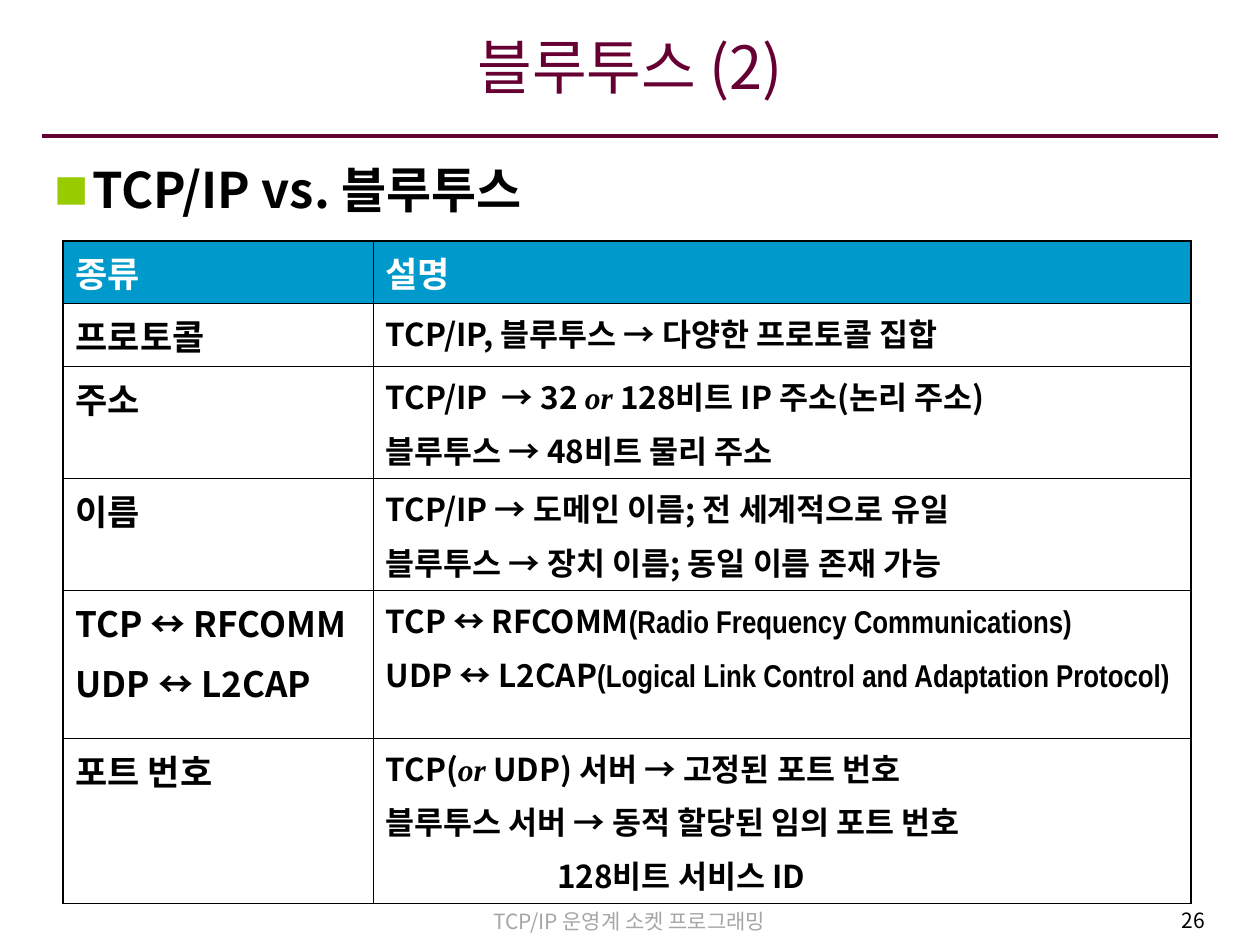
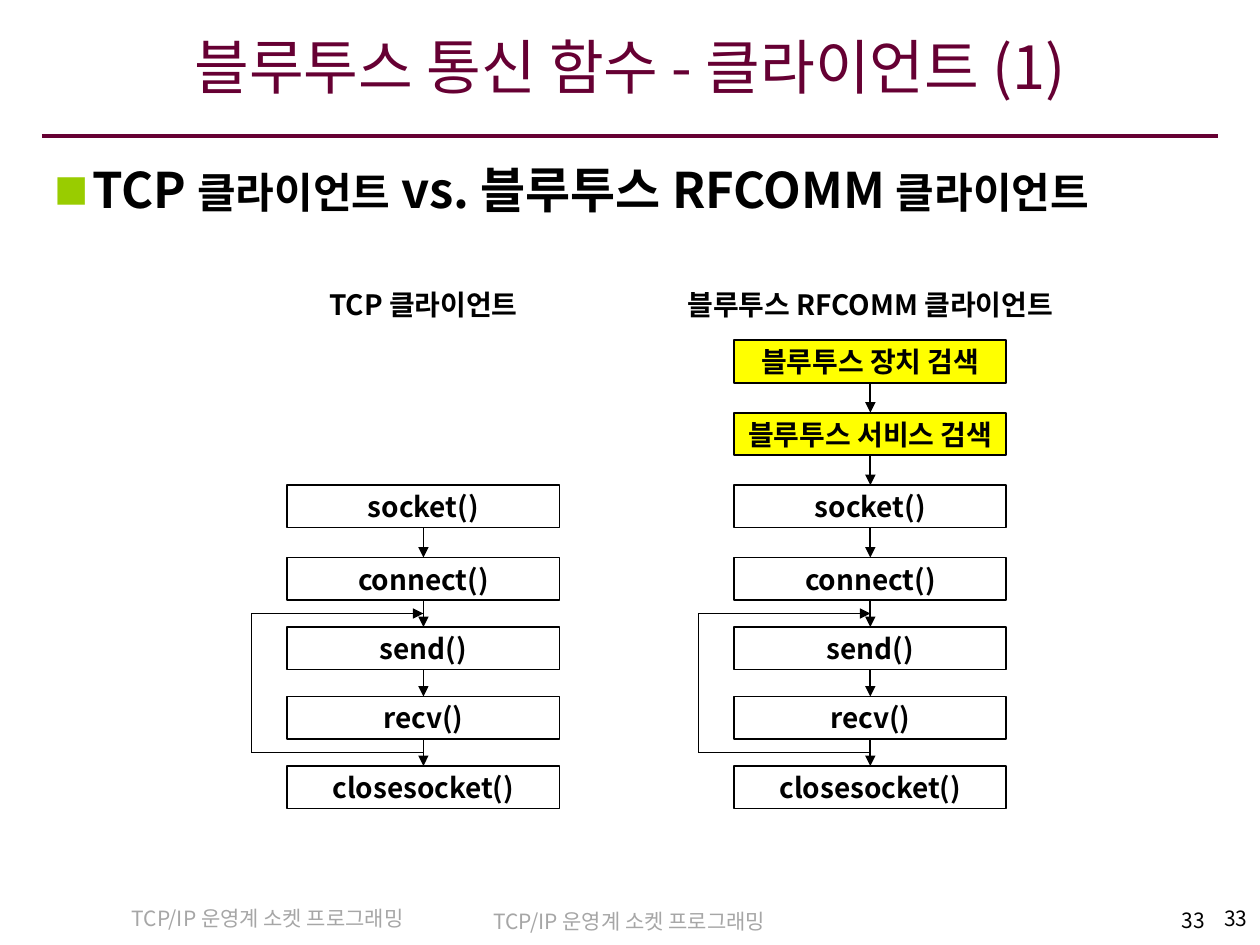
from lxml.etree import SubElement
from pptx import Presentation
from pptx.dml.color import RGBColor
from pptx.enum.shapes import MSO_CONNECTOR, MSO_SHAPE
from pptx.enum.text import MSO_ANCHOR, MSO_AUTO_SIZE, PP_ALIGN
from pptx.oxml import parse_xml
from pptx.oxml.ns import nsdecls, qn
from pptx.util import Pt

FONT = "Noto Sans CJK KR"
BLACK, WHITE, GREY = "000000", "FFFFFF", "A6A6A6"
PLUM, LIME, BLUE, YELLOW = "660033", "99CC00", "0099CC", "FFFF00"
FOOTER = "TCP/IP 운영계 소켓 프로그래밍"
NODE_W, NODE_H = 155.5, 24.3
OR = ("or", {"name": "Times New Roman", "italic": True})


def narrow(text):
    """Return a run set in the narrow font."""
    return text, {"name": "Arial Narrow"}


TABLE_ROWS = [
    (36, ["종류"], [["설명"]]),
    (36, ["프로토콜"], [["TCP/IP, 블루투스 → 다양한 프로토콜 집합"]]),
    (64, ["주소"], [["TCP/IP  → 32 ", OR, " 128비트 IP 주소(논리 주소)"],
                  ["블루투스 → 48비트 물리 주소"]]),
    (64, ["이름"], [["TCP/IP → 도메인 이름; 전 세계적으로 유일"],
                  ["블루투스 → 장치 이름; 동일 이름 존재 가능"]]),
    (84.5, ["TCP ↔ RFCOMM", "UDP ↔ L2CAP"],
     [["TCP ↔ RFCOMM", narrow("(Radio Frequency Communications)")],
      ["UDP ↔ L2CAP", narrow("(Logical Link Control and Adaptation Protocol)")]]),
    (94.3, ["포트 번호"], [["TCP(", OR, " UDP) 서버 → 고정된 포트 번호"],
                       ["블루투스 서버 → 동적 할당된 임의 포트 번호"],
                       ["128비트 서비스 ID"]]),
]
SOCKET_CALLS = ["socket()", "connect()", "send()", "recv()", "closesocket()"]
SEARCHES = ["블루투스 장치 검색", "블루투스 서비스 검색"]


def rgb(color):
    """Turn a hex string into a colour."""
    return RGBColor.from_string(color)


def write(p, runs, size, color=BLACK, bold=False, align=PP_ALIGN.LEFT, before=0):
    """Fill a paragraph with runs, each a string or a (text, font changes) pair."""
    p.alignment, p.space_before = align, Pt(before)
    f = p.font
    f.size, f.bold, f.name = Pt(size), bold, FONT
    f.color.rgb = rgb(color)
    SubElement(p._p.pPr.find(qn("a:defRPr")), qn("a:ea"), typeface=FONT)
    for run in runs:
        text, changes = (run, {}) if isinstance(run, str) else run
        r = p.add_run()
        r.text = text
        for key, value in changes.items():
            setattr(r.font, key, value)


def text_box(s, box, runs, size, **style):
    """Add a wrapping text box and return its paragraph."""
    tf = s.shapes.add_textbox(*map(Pt, box)).text_frame
    tf.word_wrap = True
    p = tf.paragraphs[0]
    write(p, runs, size, **style)
    return p


def line(s, x1, y1, x2, y2, color=BLACK, width=1, arrow=False):
    """Add a straight line, with an arrowhead at its end if asked."""
    c = s.shapes.add_connector(MSO_CONNECTOR.STRAIGHT, *map(Pt, (x1, y1, x2, y2)))
    c.line.color.rgb, c.line.width = rgb(color), Pt(width)
    if arrow:
        SubElement(c.line._get_or_add_ln(), qn("a:tailEnd"), type="triangle")
    SubElement(c._element.spPr, qn("a:effectLst"))
    return c


def footer(s, number, footer_box, number_box):
    """Add the footer text and the page number."""
    text_box(s, footer_box, [FOOTER], 12, color=GREY, align=PP_ALIGN.CENTER)
    text_box(s, number_box, [number], 12, align=PP_ALIGN.RIGHT)


def heading(s, box, runs):
    """Add the bold heading with its square bullet."""
    p = text_box(s, box, runs, 28, bold=True, before=6)
    pPr = p._p.pPr
    pPr.set("marL", str(Pt(21.6)))
    pPr.set("indent", str(Pt(-21.6)))
    for xml in (f'<a:buClr {nsdecls("a")}><a:srgbClr val="{LIME}"/></a:buClr>',
                f'<a:buSzPct {nsdecls("a")} val="70000"/>',
                f'<a:buFont {nsdecls("a")} typeface="{FONT}"/>',
                f'<a:buChar {nsdecls("a")} char="■"/>'):
        pPr.find(qn("a:defRPr")).addprevious(parse_xml(xml))


def base_slide(prs, title, number, heading_runs):
    """Add a slide with title, rule, heading and footer."""
    s = prs.slides.add_slide(prs.slide_layouts[5])
    sp = s.shapes.title
    sp.left, sp.top, sp.width, sp.height = map(Pt, (24, 10.8, 672, 61.2))
    tf = sp.text_frame
    tf.word_wrap, tf.auto_size = True, MSO_AUTO_SIZE.NONE
    tf.vertical_anchor = MSO_ANCHOR.MIDDLE
    tf.margin_left = tf.margin_right = Pt(5.8)
    tf.margin_top, tf.margin_bottom = Pt(3.6), Pt(11.5)
    write(tf.paragraphs[0], [title], 34, PLUM, align=PP_ALIGN.CENTER)
    line(s, 24, 77.5, 696, 77.5, PLUM, 2.25)
    footer(s, number, (206.6, 515.5, 306, 21.6), (543, 514.8, 152.6, 23.8))
    heading(s, (24, 87.8, 672, 422), heading_runs)
    return s


def cell_borders(cell, outer):
    """Draw the four borders of a cell, thicker on the sides named in outer."""
    tcPr = cell._tc.get_or_add_tcPr()
    for i, side in enumerate("LRTB"):
        width = Pt(1.08 if side in outer else 0.45)
        tcPr.insert(i, parse_xml(
            f'<a:ln{side} {nsdecls("a")} w="{width}"><a:solidFill>'
            f'<a:srgbClr val="{BLACK}"/></a:solidFill></a:ln{side}>'))


def fill_cell(cell, lines, size, header):
    """Write the lines of a cell and set its fill."""
    if header:
        cell.fill.solid()
        cell.fill.fore_color.rgb = rgb(BLUE)
    else:
        cell.fill.background()
    cell.margin_left = cell.margin_right = Pt(7.2)
    cell.margin_top = cell.margin_bottom = Pt(3.6)
    tf = cell.text_frame
    for i, runs in enumerate(lines):
        p = tf.add_paragraph() if i else tf.paragraphs[0]
        write(p, runs, size, WHITE if header else BLACK, True, before=size / 4)


def comparison_table(s, left, top, widths):
    """Add the table that compares TCP/IP with Bluetooth."""
    height = sum(row[0] for row in TABLE_ROWS)
    last = len(TABLE_ROWS) - 1
    box = map(Pt, (left, top, sum(widths), height))
    table = s.shapes.add_table(last + 1, 2, *box).table
    table.first_row = table.horz_banding = False
    for col, width in zip(table.columns, widths):
        col.width = Pt(width)
    for i, (row_h, kinds, notes) in enumerate(TABLE_ROWS):
        table.rows[i].height = Pt(row_h)
        edge = {0: "T", last: "B"}.get(i, "")
        kind, note = table.cell(i, 0), table.cell(i, 1)
        fill_cell(kind, [[k] for k in kinds], 20, i == 0)
        fill_cell(note, notes, 20 if i == 0 else 18, i == 0)
        cell_borders(kind, "L" + edge)
        cell_borders(note, "R" + edge)
    service_id = table.cell(last, 1).text_frame.paragraphs[-1]
    service_id._p.pPr.set("marL", str(Pt(98)))


def node(s, left, top, text, fill=None, outline=True):
    """Add one box of a flow chart, or a bare label."""
    sp = s.shapes.add_shape(MSO_SHAPE.RECTANGLE, *map(Pt, (left, top, NODE_W, NODE_H)))
    sp.shadow.inherit = False
    if fill:
        sp.fill.solid()
        sp.fill.fore_color.rgb = rgb(fill)
    else:
        sp.fill.background()
    if outline:
        sp.line.color.rgb, sp.line.width = rgb(BLACK), Pt(1)
    else:
        sp.line.fill.background()
    tf = sp.text_frame
    tf.word_wrap, tf.vertical_anchor = False, MSO_ANCHOR.MIDDLE
    write(tf.paragraphs[0], [text], 16, bold=True, align=PP_ALIGN.CENTER)
    return sp


def client_flow(s, left, top, label, searches):
    """Add a client's calls from top to bottom, with the send and receive loop."""
    node(s, left, top, label, outline=False)
    first = top + 32.4
    steps = [first + 41.4 * i for i in range(4)]
    steps += [steps[-1] + 39.7 * i for i in (1, 2, 3)]
    names = searches + SOCKET_CALLS
    above = None
    for y, name in zip(steps[-len(names):], names):
        box = node(s, left, y, name, YELLOW if name in searches else None)
        if above:
            c = line(s, left, y, left, y, arrow=True)
            c.begin_connect(above, 2)
            c.end_connect(box, 0)
        above = box
    mid, side = left + NODE_W / 2, left - 20.5
    loop_top, loop_bottom = ((steps[i] + NODE_H + steps[i + 1]) / 2 for i in (3, 5))
    line(s, mid, loop_bottom, side, loop_bottom)
    line(s, side, loop_bottom, side, loop_top, width=0.75)
    line(s, side, loop_top, mid, loop_top, arrow=True)


def table_slide(prs):
    """Build the comparison slide."""
    s = base_slide(prs, "블루투스 (2)", "26", ["TCP/IP vs. 블루투스"])
    comparison_table(s, 36, 137.6, (177.2, 467.3))


def client_slide(prs):
    """Build the slide with the two client flows."""
    small = ("클라이언트", {"size": Pt(24)})
    s = base_slide(prs, "블루투스 통신 함수 - 클라이언트 (1)", "33",
                   ["TCP ", small, " vs. 블루투스 RFCOMM ", small])
    footer(s, "33", (0, 514, 306, 20.2), (570.2, 514, 149.8, 19.4))
    client_flow(s, 164.2, 162, "TCP 클라이언트", [])
    client_flow(s, 419.6, 162, "블루투스 RFCOMM 클라이언트", SEARCHES)


def main():
    """Build and save the presentation."""
    prs = Presentation()
    prs.slide_width, prs.slide_height = Pt(720), Pt(540)
    table_slide(prs)
    client_slide(prs)
    prs.save("out.pptx")


if __name__ == "__main__":
    main()
